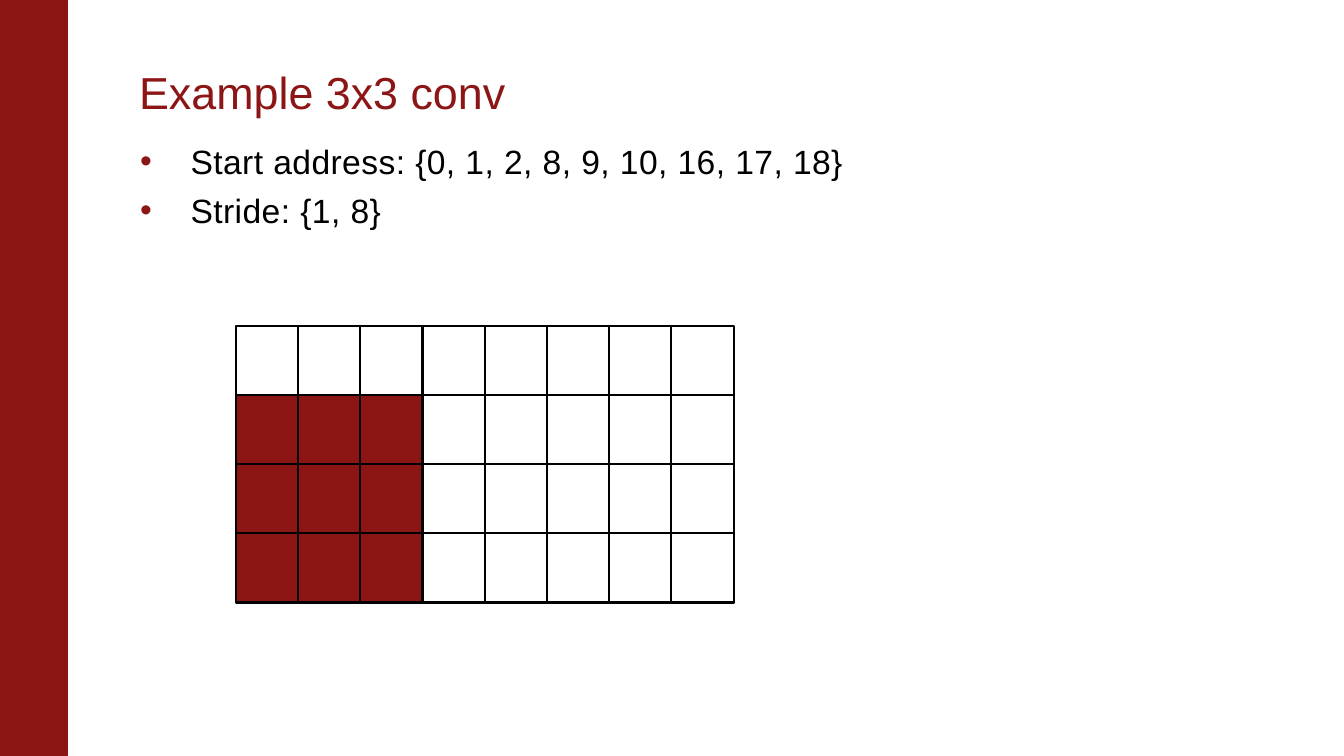
from lxml import etree
from pptx import Presentation
from pptx.dml.color import RGBColor
from pptx.enum.shapes import MSO_SHAPE
from pptx.enum.text import MSO_ANCHOR, MSO_AUTO_SIZE, PP_ALIGN
from pptx.oxml.ns import qn
from pptx.util import Inches, Pt

RECT = MSO_SHAPE.RECTANGLE
BOTTOM, TOP = MSO_ANCHOR.BOTTOM, MSO_ANCHOR.TOP
LEFT = PP_ALIGN.LEFT
NO_FIT = MSO_AUTO_SIZE.NONE
FONT = "Arial"
COLORS = {"red": "8C1515", "black": "000000"}
COLS, ROWS, KERNEL = 8, 4, 3
CELL_W, CELL_H = 0.617, 0.687
GRID_X, GRID_Y = 2.34, 3.23


def add_rect(shapes, x, y, w, h, fill=None, line=None, weight=1.5):
    sp = shapes.add_shape(RECT, Inches(x), Inches(y), Inches(w), Inches(h))
    sp.shadow.inherit = False
    if fill:
        sp.fill.solid()
        sp.fill.fore_color.rgb = RGBColor.from_string(COLORS[fill])
    else:
        sp.fill.background()
    if line:
        sp.line.color.rgb = RGBColor.from_string(COLORS[line])
        sp.line.width = Pt(weight)
    else:
        sp.line.fill.background()


def set_placeholder(sp, box, text, size, color, anchor, insets):
    sp.left, sp.top, sp.width, sp.height = [Inches(v) for v in box]
    tf = sp.text_frame
    tf.text = text
    tf.word_wrap = True
    tf.auto_size = NO_FIT
    tf.vertical_anchor = anchor
    tf.margin_left, tf.margin_top, tf.margin_right, tf.margin_bottom = [Inches(v) for v in insets]
    for p in tf.paragraphs:
        p.alignment = LEFT
        for r in p.runs:
            r.font.name = FONT
            r.font.size = Pt(size)
            r.font.color.rgb = RGBColor.from_string(COLORS[color])
    return tf


prs = Presentation()
prs.slide_width, prs.slide_height = Inches(13.33), Inches(7.5)
s = prs.slides.add_slide(prs.slide_layouts[1])
title, body = s.placeholders

tf = set_placeholder(title, (1.38, 0.52, 11.24, 0.71), "Example 3x3 conv",
                     32, "red", BOTTOM, (0, 0.05, 0.1, 0.05))
tf.paragraphs[0].line_spacing = 0.85

bullets = ["Start address: {0, 1, 2, 8, 9, 10, 16, 17, 18}", "Stride: {1, 8}"]
tf = set_placeholder(body, (1.39, 1.32, 11.23, 5.48), "\n".join(bullets),
                     24, "black", TOP, (0, 0.08, 0, 0.05))
for i, p in enumerate(tf.paragraphs):
    p.space_before = Pt(6 if i else 0)
    pPr = p._p.get_or_add_pPr()
    pPr.set("marL", str(Inches(0.5)))
    pPr.set("indent", str(Inches(-0.5)))
    bullet_color = etree.SubElement(pPr, qn("a:buClr"))
    etree.SubElement(bullet_color, qn("a:srgbClr"), val=COLORS["red"])
    etree.SubElement(pPr, qn("a:buFont"), typeface=FONT)
    etree.SubElement(pPr, qn("a:buChar"), char="•")
    for r in p.runs:
        r.font._element.set("spc", "30")

add_rect(s.shapes, 0, 0, 0.67, 7.5, "red", "red", 0.75)
add_rect(s.shapes, GRID_X, GRID_Y + CELL_H, KERNEL * CELL_W, KERNEL * CELL_H, "red")

grid = s.shapes.add_group_shape()
for row in range(ROWS):
    for col in range(COLS):
        add_rect(grid.shapes, GRID_X + col * CELL_W, GRID_Y + row * CELL_H,
                 CELL_W, CELL_H, line="black")

prs.save("out.pptx")
